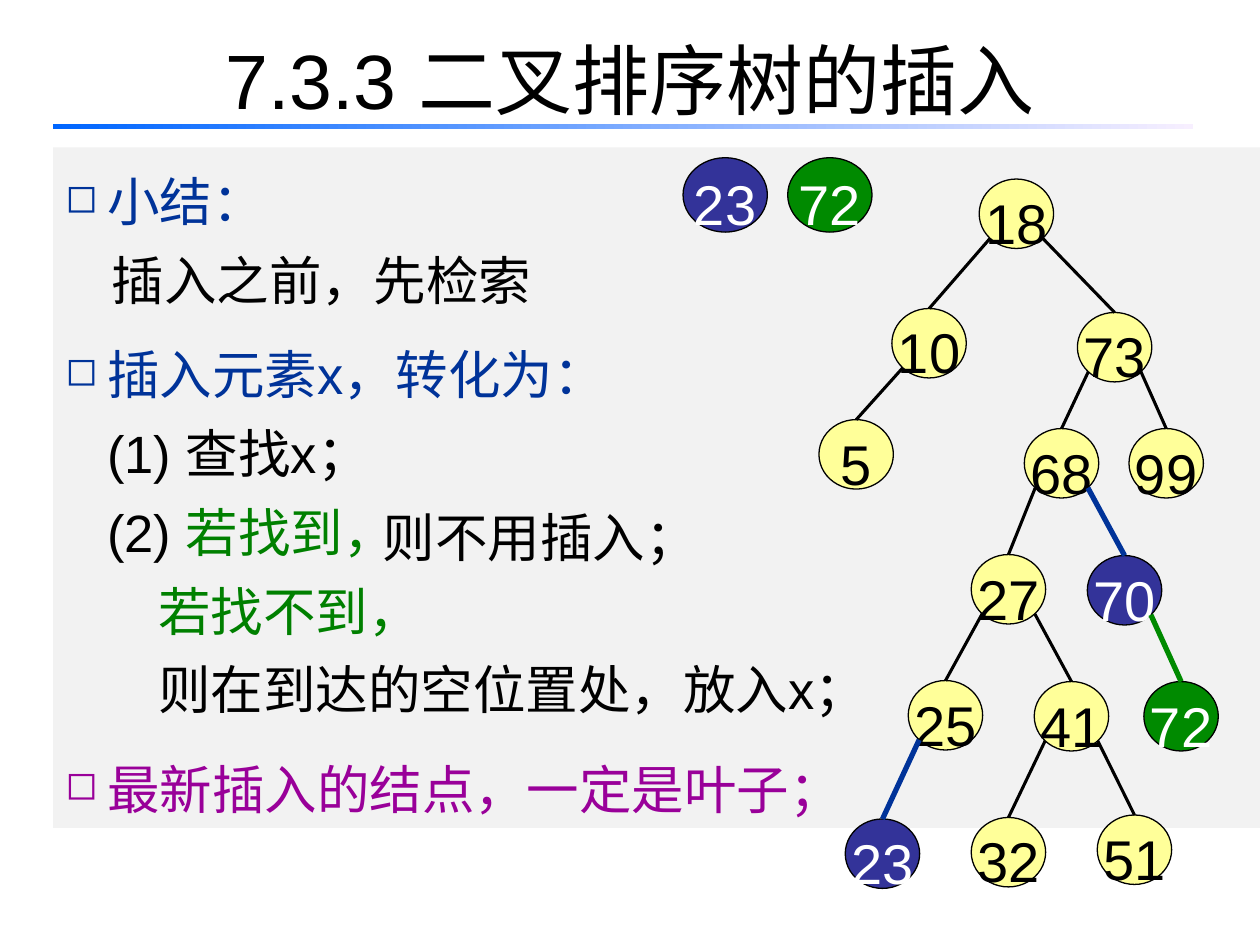
"""Build a slide that sums up insertion into a binary search tree."""
from dataclasses import dataclass
from typing import Optional

from lxml import etree
from pptx import Presentation
from pptx.dml.color import RGBColor
from pptx.enum.shapes import MSO_CONNECTOR, MSO_SHAPE
from pptx.enum.text import MSO_ANCHOR, PP_ALIGN
from pptx.oxml.ns import qn
from pptx.util import Cm, Pt

STRAIGHT = MSO_CONNECTOR.STRAIGHT
OVAL, RECTANGLE = MSO_SHAPE.OVAL, MSO_SHAPE.RECTANGLE
TOP, MIDDLE = MSO_ANCHOR.TOP, MSO_ANCHOR.MIDDLE
LEFT, CENTER = PP_ALIGN.LEFT, PP_ALIGN.CENTER

BLACK = RGBColor(0x00, 0x00, 0x00)
WHITE = RGBColor(0xFF, 0xFF, 0xFF)
PANEL_GREY = RGBColor(0xF2, 0xF2, 0xF2)
HEADING_BLUE = RGBColor(0x00, 0x33, 0x99)
TEXT_GREEN = RGBColor(0x00, 0x80, 0x00)
PURPLE = RGBColor(0x99, 0x00, 0x99)
YELLOW = RGBColor(0xFF, 0xFF, 0x99)
INDIGO = RGBColor(0x33, 0x33, 0x99)
NODE_GREEN = RGBColor(0x00, 0x8A, 0x00)
RULE_START = RGBColor(0x00, 0x66, 0xFF)
RULE_END = RGBColor(0xF7, 0xEF, 0xFF)

LATIN, CHINESE = "Arial", "Noto Sans CJK SC"
LINE_SPACING = 1.25
BULLET_INDENT = 0.84
DIAGONAL = 0.5 ** 0.5


@dataclass(frozen=True)
class Point:
    """One line of the summary; indent in cm, space before in points."""
    runs: tuple
    indent: float = BULLET_INDENT
    bullet: bool = False
    before: float = 0


@dataclass(frozen=True)
class Node:
    """A tree node with its top left corner and size in cm."""
    key: int
    left: float
    top: float
    parent: Optional[int] = None
    fill: RGBColor = YELLOW
    width: float = 1.5
    height: float = 1.4


POINTS = (
    Point((("小结：", HEADING_BLUE),), bullet=True),
    Point((("插入之前，先检索", BLACK),), indent=0.93),
    Point((("插入元素x，转化为：", HEADING_BLUE),), bullet=True, before=9),
    Point((("(1) 查找x；", BLACK),)),
    Point((("(2) ", BLACK), ("若找到，", TEXT_GREEN))),
    Point((("若找不到，", TEXT_GREEN),), indent=1.87),
    Point((("则在到达的空位置处，放入x；", BLACK),), indent=1.87),
    Point((("最新插入的结点，一定是叶子；", PURPLE),), bullet=True, before=12),
)

TREE = (
    Node(18, 19.74, 3.61),
    Node(10, 17.98, 6.22, 18),
    Node(73, 21.72, 6.3, 18),
    Node(5, 16.51, 8.46, 10),
    Node(68, 20.65, 8.64, 73),
    Node(99, 22.76, 8.64, 73),
    Node(27, 19.58, 11.18, 68),
    Node(70, 21.92, 11.2, 68, INDIGO),
    Node(25, 18.31, 13.72, 27),
    Node(41, 20.85, 13.74, 27),
    Node(72, 23.06, 13.74, 70, NODE_GREEN),
    Node(23, 17.04, 16.51, 25, INDIGO),
    Node(32, 19.58, 16.48, 41),
    Node(51, 22.12, 16.43, 41),
)

INSERTED = (
    Node(23, 13.77, 3.18, fill=INDIGO, width=1.7, height=1.5),
    Node(72, 15.88, 3.18, fill=NODE_GREEN, width=1.7, height=1.5),
)

EDGE_STYLES = {YELLOW: (BLACK, 1.75), INDIGO: (HEADING_BLUE, 3), NODE_GREEN: (NODE_GREEN, 3)}


def set_values(target, values: dict) -> None:
    """Set each named attribute of the target."""
    for name, value in values.items():
        setattr(target, name, value)


def add_run(paragraph, text: str, size: float, color: RGBColor, latin: str = LATIN) -> None:
    """Append a formatted run with a Chinese companion font."""
    run = paragraph.add_run()
    run.text = text
    set_values(run.font, {"name": latin, "size": Pt(size), "bold": False})
    run.font.color.rgb = color
    latin_font = run.font._element.find(qn("a:latin"))
    latin_font.addnext(etree.Element(qn("a:ea"), typeface=CHINESE))


def add_plain_shape(slide, kind, left: float, top: float, width: float, height: float):
    """Add a preset shape without outline or shadow."""
    shape = slide.shapes.add_shape(kind, Cm(left), Cm(top), Cm(width), Cm(height))
    shape.shadow.inherit = False
    shape.line.fill.background()
    return shape


def add_title(slide) -> None:
    """Place the title and the fading rule below it."""
    title = slide.shapes.title
    set_values(title, {"left": Cm(1.27), "top": Cm(0), "width": Cm(22.86), "height": Cm(3.18)})
    title.text_frame.vertical_anchor = MIDDLE
    heading = title.text_frame.paragraphs[0]
    heading.alignment = CENTER
    add_run(heading, "7.3.3 ", 44, BLACK)
    add_run(heading, "二叉排序树的插入", 44, BLACK, CHINESE)

    rule = add_plain_shape(slide, RECTANGLE, 1.07, 2.51, 22.99, 0.1)
    rule.fill.gradient()
    rule.fill.gradient_angle = 0
    for stop, color, position in zip(rule.fill.gradient_stops, (RULE_START, RULE_END), (0, 1)):
        stop.color.rgb = color
        stop.position = position


def add_summary(slide) -> None:
    """Write the summary points on the grey panel."""
    panel = add_plain_shape(slide, RECTANGLE, 1.07, 2.97, 24.33, 13.72)
    panel.fill.solid()
    panel.fill.fore_color.rgb = PANEL_GREY
    frame = panel.text_frame
    set_values(frame, {"word_wrap": True, "vertical_anchor": TOP})
    for index, point in enumerate(POINTS):
        paragraph = frame.add_paragraph() if index else frame.paragraphs[0]
        properties = paragraph._p.get_or_add_pPr()
        properties.set("marL", str(Cm(point.indent)))
        properties.set("indent", str(-Cm(point.indent) if point.bullet else 0))
        if point.bullet:
            etree.SubElement(properties, qn("a:buSzPct"), val="75000")
            etree.SubElement(properties, qn("a:buChar"), char="◻")
        set_values(paragraph, {"alignment": LEFT, "line_spacing": LINE_SPACING})
        if point.before:
            paragraph.space_before = Pt(point.before)
        for text, color in point.runs:
            add_run(paragraph, text, 30, color)


def add_found_result(slide) -> None:
    """Write what happens when the search succeeds."""
    result = slide.shapes.add_textbox(Cm(7.47), Cm(9.73), Cm(6.93), Cm(1.7))
    result.text_frame.word_wrap = False
    paragraph = result.text_frame.paragraphs[0]
    paragraph.line_spacing = LINE_SPACING
    add_run(paragraph, "则不用插入；", 30, BLACK)


def add_node(slide, node: Node):
    """Draw one tree node with its key."""
    circle = add_plain_shape(slide, OVAL, node.left, node.top, node.width, node.height)
    circle.fill.solid()
    circle.fill.fore_color.rgb = node.fill
    circle.line.color.rgb = BLACK
    circle.line.width = Pt(0.75)
    set_values(circle.text_frame, {"word_wrap": False, "vertical_anchor": MIDDLE})
    paragraph = circle.text_frame.paragraphs[0]
    set_values(paragraph, {"alignment": CENTER, "line_spacing": LINE_SPACING})
    add_run(paragraph, str(node.key), 32, BLACK if node.fill == YELLOW else WHITE)
    return circle


def add_edge(slide, parent: Node, child: Node, child_circle) -> None:
    """Join the lower flank of a parent to the top of its child."""
    side = 1 if child.key > parent.key else -1
    start_x = parent.left + parent.width / 2 * (1 + side * DIAGONAL)
    start_y = parent.top + parent.height / 2 * (1 + DIAGONAL)
    edge = slide.shapes.add_connector(
        STRAIGHT, Cm(start_x), Cm(start_y), Cm(child.left + child.width / 2), Cm(child.top))
    edge.end_connect(child_circle, 0)
    color, weight = EDGE_STYLES[child.fill]
    edge.line.color.rgb = color
    edge.line.width = Pt(weight)
    etree.SubElement(edge._element.spPr, qn("a:effectLst"))


def main() -> None:
    """Assemble and save the slide."""
    deck = Presentation()
    set_values(deck, {"slide_width": Cm(25.4), "slide_height": Cm(19.05)})
    slide = deck.slides.add_slide(deck.slide_layouts[5])
    add_summary(slide)
    add_title(slide)
    nodes = {node.key: node for node in TREE}
    for node in TREE:
        circle = add_node(slide, node)
        if node.parent is not None:
            add_edge(slide, nodes[node.parent], node, circle)
    for node in INSERTED:
        add_node(slide, node)
    add_found_result(slide)
    deck.save("out.pptx")


if __name__ == "__main__":
    main()
